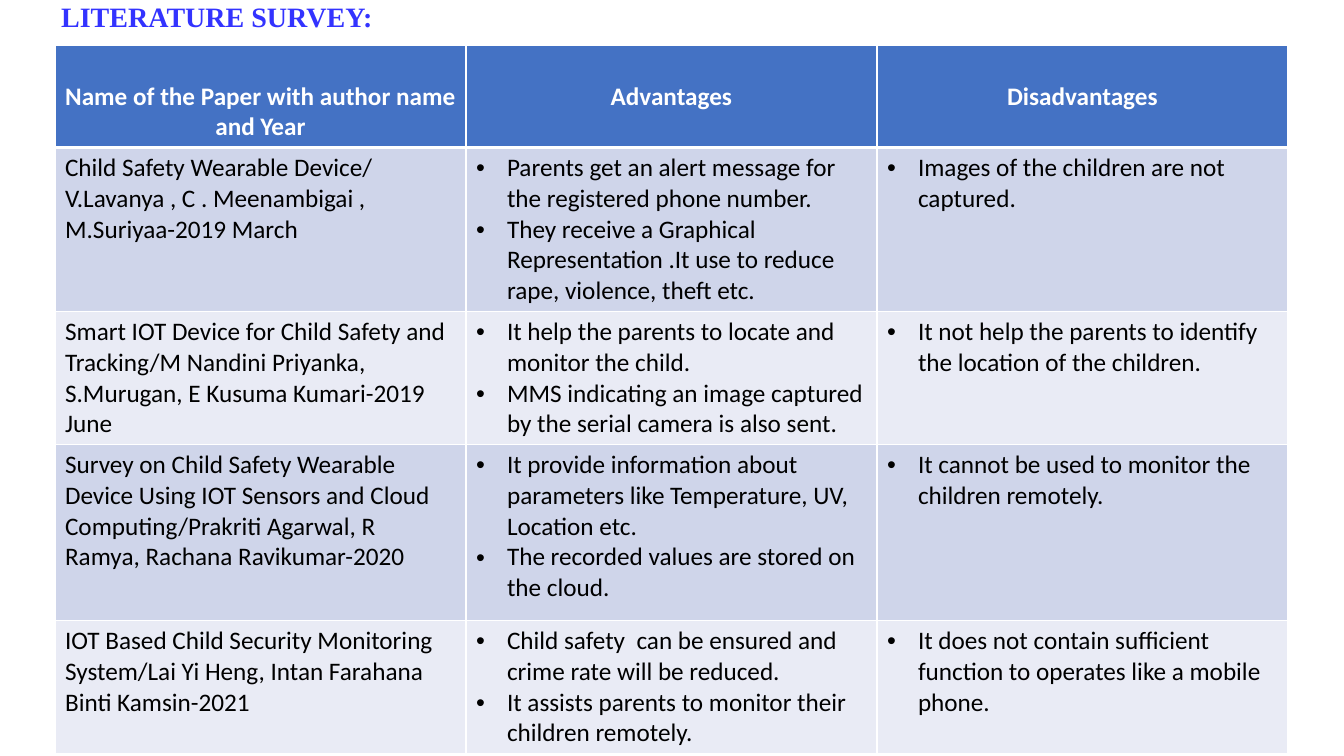
from pptx import Presentation
from pptx.dml.color import RGBColor
from pptx.enum.text import MSO_ANCHOR, PP_ALIGN
from pptx.oxml import parse_xml
from pptx.oxml.ns import nsdecls
from pptx.util import Pt

EMU_PER_PX = 914400 / 100.8
COLUMN_WIDTH = 411
ROW_HEIGHTS = [97, 154, 126, 176, 126]
HEADERS = ["Name of the Paper with author name and Year", "Advantages", "Disadvantages"]
PAPERS = [
    ("Child Safety Wearable Device/ V.Lavanya , C . Meenambigai , M.Suriyaa-2019 March",
     ["Parents get an alert message for the registered phone number.",
      "They receive a Graphical Representation .It use to reduce rape, violence, theft etc."],
     ["Images of the children are not captured."]),
    ("Smart IOT Device for Child Safety and Tracking/M Nandini Priyanka, "
     "S.Murugan, E Kusuma Kumari-2019 June",
     ["It help the parents to locate and monitor the child.",
      "MMS indicating an image captured by the serial camera is also sent."],
     ["It not help the parents to identify the location of the children."]),
    ("Survey on Child Safety Wearable Device Using IOT Sensors and Cloud "
     "Computing/Prakriti Agarwal, R Ramya, Rachana Ravikumar-2020",
     ["It provide information about parameters like Temperature, UV, Location etc.",
      "The recorded values are stored on the cloud."],
     ["It cannot be used to monitor the children remotely."]),
    ("IOT Based Child Security Monitoring System/Lai Yi Heng, Intan Farahana "
     "Binti Kamsin-2021",
     ["Child safety  can be ensured and crime rate will be reduced.",
      "It assists parents to monitor their children remotely."],
     ["It does not contain sufficient function to operates like a mobile phone."]),
]


def px(n):
    return round(n * EMU_PER_PX)


def rgb(hex_color):
    return RGBColor.from_string(hex_color)


def format_runs(p, font, size, color, bold):
    for r in p.runs:
        r.font.name = font
        r.font.size = Pt(size)
        r.font.color.rgb = rgb(color)
        r.font.bold = bold


def add_title(s, text):
    title = s.shapes.title
    title.left, title.top, title.width, title.height = px(51), 0, px(1122), px(37)
    tf = title.text_frame
    tf.text = text
    tf.word_wrap = True
    tf.vertical_anchor = MSO_ANCHOR.MIDDLE
    p = tf.paragraphs[0]
    p.alignment = PP_ALIGN.LEFT
    p.line_spacing = 0.9
    format_runs(p, "Times New Roman", 20, "3333FF", True)


def set_borders(cell, top=1, bottom=1):
    tcPr = cell._tc.get_or_add_tcPr()
    for side, width in (("L", 1), ("R", 1), ("T", top), ("B", bottom)):
        tcPr.append(parse_xml(
            f'<a:ln{side} {nsdecls("a")} w="{Pt(width)}"><a:solidFill>'
            f'<a:srgbClr val="FFFFFF"/></a:solidFill></a:ln{side}>'))


def fill_cell(cell, lines, fill, color="000000", bold=False):
    cell.fill.solid()
    cell.fill.fore_color.rgb = rgb(fill)
    cell.text_frame.text = "\n".join(lines)
    for p in cell.text_frame.paragraphs:
        format_runs(p, "Calibri", 18, color, bold)


def add_bullets(cell):
    for p in cell.text_frame.paragraphs:
        pPr = p._p.get_or_add_pPr()
        pPr.set("marL", str(px(31)))
        pPr.set("indent", str(-px(31)))
        pPr.append(parse_xml(f'<a:buFont {nsdecls("a")} typeface="Arial"/>'))
        pPr.append(parse_xml(f'<a:buChar {nsdecls("a")} char="•"/>'))


def add_survey_table(s):
    table = s.shapes.add_table(
        len(ROW_HEIGHTS), len(HEADERS), px(55), px(45),
        px(COLUMN_WIDTH * len(HEADERS)), px(sum(ROW_HEIGHTS))).table
    for column in table.columns:
        column.width = px(COLUMN_WIDTH)
    for row, height in zip(table.rows, ROW_HEIGHTS):
        row.height = px(height)

    # Header row, text lowered by one line
    for col, header in enumerate(HEADERS):
        cell = table.cell(0, col)
        set_borders(cell, bottom=3)
        fill_cell(cell, [header], "4472C4", "FFFFFF", True)
        cell.margin_top = px(36)
        cell.text_frame.paragraphs[0].alignment = PP_ALIGN.CENTER

    # Banded paper rows
    for row, (paper, advantages, disadvantages) in enumerate(PAPERS, start=1):
        fill = "CFD5EA" if row % 2 else "E9EBF5"
        for col, lines in enumerate(([paper], advantages, disadvantages)):
            cell = table.cell(row, col)
            set_borders(cell, top=3 if row == 1 else 1)
            fill_cell(cell, lines, fill)
            if col > 0:
                add_bullets(cell)


def main():
    prs = Presentation()
    prs.slide_width, prs.slide_height = px(1344), px(756)
    s = prs.slides.add_slide(prs.slide_layouts[5])
    add_title(s, "LITERATURE SURVEY:")
    add_survey_table(s)
    prs.save("out.pptx")


main()
